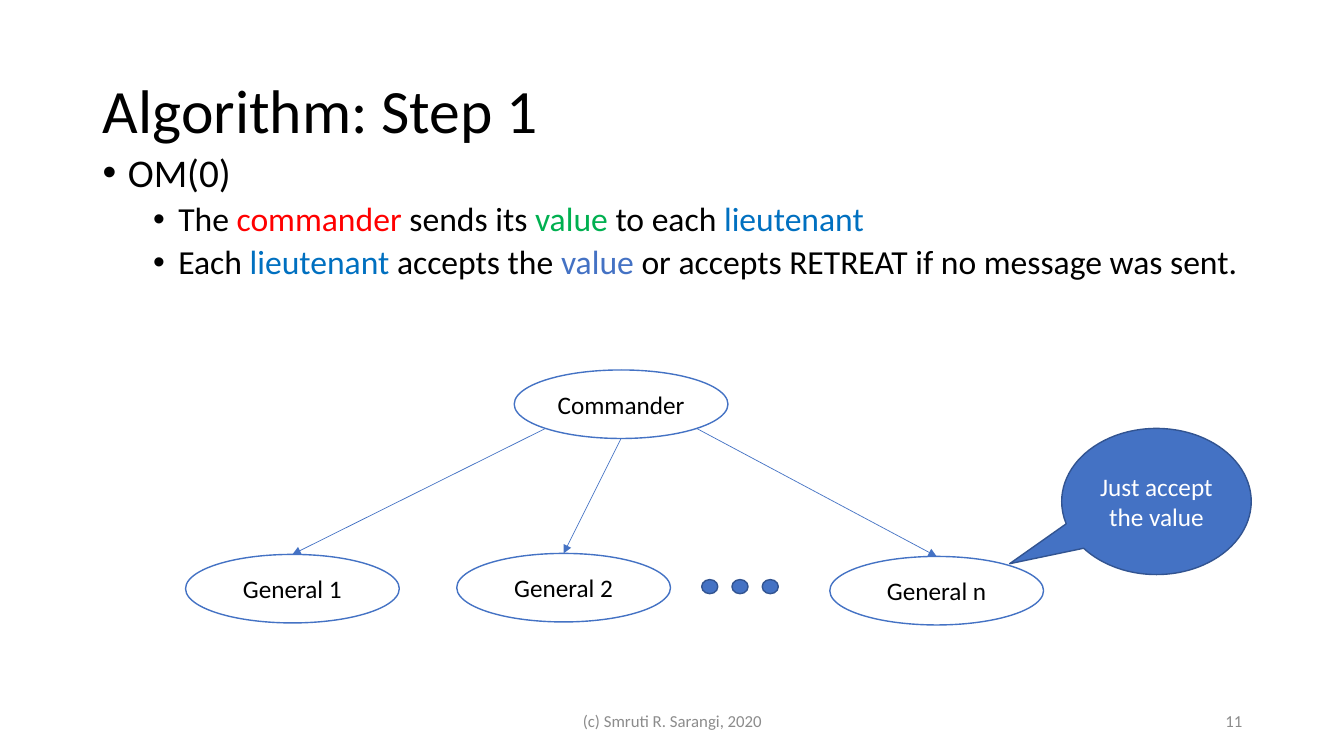
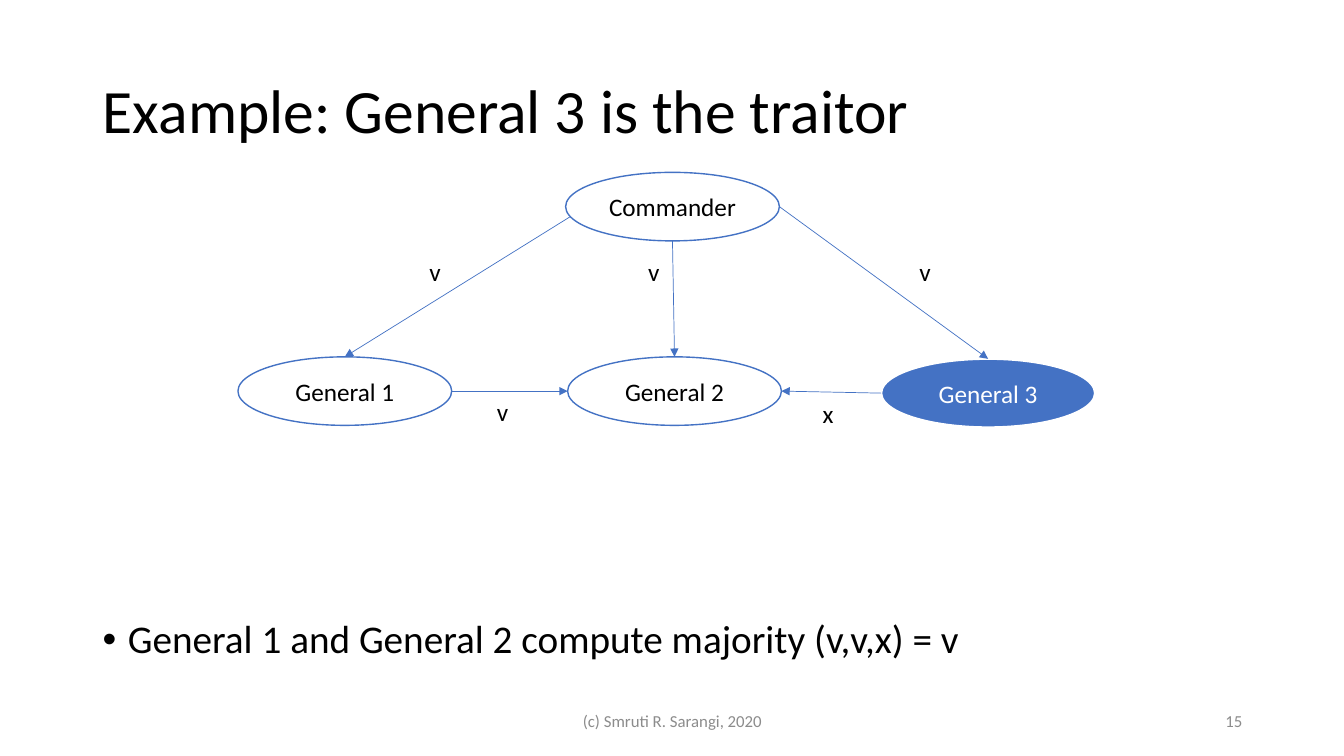
from math import cos, radians, sin

from lxml.etree import SubElement
from pptx import Presentation
from pptx.dml.color import RGBColor
from pptx.enum.shapes import MSO_CONNECTOR as Connector, MSO_SHAPE as Shape
from pptx.enum.text import MSO_ANCHOR as Anchor, MSO_AUTO_SIZE as AutoSize, PP_ALIGN as Align
from pptx.oxml.ns import qn
from pptx.util import Inches, Pt

FONT = "Calibri"
BLACK = RGBColor(0x00, 0x00, 0x00)
WHITE = RGBColor(0xFF, 0xFF, 0xFF)
GRAY = RGBColor(0x8C, 0x8C, 0x8C)
BLUE = RGBColor(0x44, 0x72, 0xC4)
NAVY = RGBColor(0x32, 0x54, 0x91)
RED = RGBColor(0xFF, 0x00, 0x00)
GREEN = RGBColor(0x00, 0xB0, 0x50)
SKY = RGBColor(0x00, 0x70, 0xC0)

FOOTER = "(c) Smruti R. Sarangi, 2020"
MARGIN, CONTENT_WIDTH = 0.92, 11.5
OVAL_WIDTH, OVAL_HEIGHT = 2.12, 0.68
RIGHT, BOTTOM_RIGHT, BOTTOM, BOTTOM_LEFT, LEFT, TOP = 0, 45, 90, 135, 180, 270

TITLE_PARA = {"alignment": Align.LEFT, "line_spacing": 0.9}
BULLETS = [
    {"size": 28, "indent": 0.25, "para": {"level": 0, "line_spacing": 0.9, "space_before": Pt(10)}},
    {"size": 24, "indent": 0.75, "para": {"level": 1, "line_spacing": 0.9, "space_before": Pt(5)}},
]


def apply(target, values):
    for name, value in values.items():
        setattr(target, name, value)


def inches(*lengths):
    return [Inches(length) for length in lengths]


def add_span(para, text, size, color=BLACK):
    span = para.add_run()
    span.text = text
    apply(span.font, {"name": FONT, "size": Pt(size)})
    span.font.color.rgb = color


def add_label(page, text, bounds, size=18, color=BLACK, wrap=False, align=Align.LEFT, anchor=Anchor.TOP):
    box = page.shapes.add_textbox(*inches(*bounds))
    apply(box.text_frame, {"word_wrap": wrap, "vertical_anchor": anchor})
    para = box.text_frame.paragraphs[0]
    para.alignment = align
    add_span(para, text, size, color)


def add_page(deck, title, number):
    page = deck.slides.add_slide(deck.slide_layouts[5])
    heading = page.shapes.title
    left, top, width, height = inches(MARGIN, 0.4, CONTENT_WIDTH, 1.45)
    apply(heading, {"left": left, "top": top, "width": width, "height": height})
    apply(heading.text_frame, {"auto_size": AutoSize.NONE, "word_wrap": True,
                               "vertical_anchor": Anchor.MIDDLE})
    para = heading.text_frame.paragraphs[0]
    apply(para, TITLE_PARA)
    add_span(para, title, 44)
    for text, bounds, align in (
        (FOOTER, (4.42, 6.95, 4.5, 0.4), Align.CENTER),
        (str(number), (9.42, 6.95, 3, 0.4), Align.RIGHT),
    ):
        add_label(page, text, bounds, 12, GRAY, True, align, Anchor.MIDDLE)
    return page


def add_bullets(page, top, height, items):
    box = page.shapes.add_textbox(*inches(MARGIN, top, CONTENT_WIDTH, height))
    frame = box.text_frame
    frame.word_wrap = True
    for index, (level, spans) in enumerate(items):
        para = frame.add_paragraph() if index else frame.paragraphs[0]
        style = BULLETS[level]
        apply(para, style["para"])
        properties = para._p.get_or_add_pPr()
        properties.set("marL", str(Inches(style["indent"])))
        properties.set("indent", str(Inches(-0.25)))
        SubElement(properties, qn("a:buFont")).set("typeface", "Arial")
        SubElement(properties, qn("a:buChar")).set("char", "•")
        for text, color in spans:
            add_span(para, text, style["size"], color)


def add_figure(page, kind, bounds, fill, line, weight=1, text="", color=BLACK):
    figure = page.shapes.add_shape(kind, *inches(*bounds))
    figure.shadow.inherit = False
    figure.fill.solid()
    figure.fill.fore_color.rgb = fill
    figure.line.color.rgb = line
    figure.line.width = Pt(weight)
    if text:
        apply(figure.text_frame, {"word_wrap": True, "vertical_anchor": Anchor.MIDDLE})
        para = figure.text_frame.paragraphs[0]
        para.alignment = Align.CENTER
        add_span(para, text, 18, color)
    return figure


def add_general(page, name, left, top, fill=WHITE, line=BLUE, weight=1, color=BLACK):
    bounds = (left, top, OVAL_WIDTH, OVAL_HEIGHT)
    return add_figure(page, Shape.OVAL, bounds, fill, line, weight, name, color)


def rim_point(oval, degrees):
    angle = radians(degrees)
    return (round(oval.left + oval.width / 2 * (1 + cos(angle))),
            round(oval.top + oval.height / 2 * (1 + sin(angle))))


def add_arrow(page, sender, sender_angle, receiver, receiver_angle):
    arrow = page.shapes.add_connector(Connector.STRAIGHT, *rim_point(sender, sender_angle),
                                      *rim_point(receiver, receiver_angle))
    arrow.line.color.rgb = BLUE
    arrow.line.width = Pt(0.5)
    SubElement(arrow.line._get_or_add_ln(), qn("a:tailEnd")).set("type", "triangle")
    SubElement(arrow._element.spPr, qn("a:effectLst"))


def build_step_page(deck):
    page = add_page(deck, "Algorithm: Step 1", 11)
    add_bullets(page, 1.47, 1.45, [
        (0, [("OM(0)", BLACK)]),
        (1, [("The ", BLACK), ("commander", RED), (" sends its ", BLACK), ("value", GREEN),
             (" to each ", BLACK), ("lieutenant", SKY)]),
        (1, [("Each ", BLACK), ("lieutenant", SKY), (" accepts the ", BLACK), ("value", BLUE),
             (" or accepts RETREAT if no message was sent.", BLACK)]),
    ])
    commander = add_general(page, "Commander", 5.1, 3.67)
    for name, left, top, angle in (
        ("General 1", 1.84, 5.5, BOTTOM_LEFT),
        ("General 2", 4.53, 5.49, BOTTOM),
        ("General n", 8.23, 5.52, BOTTOM_RIGHT),
    ):
        general = add_general(page, name, left, top)
        add_arrow(page, commander, angle, general, TOP)
    for index in range(3):
        add_figure(page, Shape.OVAL, (6.96 + 0.3 * index, 5.75, 0.16, 0.14), BLUE, NAVY)
    callout = add_figure(page, Shape.OVAL_CALLOUT, (10.53, 4.25, 1.88, 1.45), BLUE, NAVY,
                         text="Just accept the value", color=WHITE)
    callout.adjustments[0] = -0.775
    callout.adjustments[1] = 0.426


def build_traitor_page(deck):
    page = add_page(deck, "Example: General 3 is the traitor", 15)
    add_bullets(page, 6.1, 0.66, [
        (0, [("General 1 and General 2 compute majority (v,v,x) = v", BLACK)]),
    ])
    commander = add_general(page, "Commander", 5.61, 1.71)
    first = add_general(page, "General 1", 2.36, 3.54)
    second = add_general(page, "General 2", 5.63, 3.54)
    traitor = add_general(page, "General 3", 8.74, 3.56, BLUE, WHITE, 1.5, WHITE)
    for sender, sender_angle, receiver, receiver_angle, value, left, top in (
        (commander, 163, first, TOP, "v", 4.16, 2.49),
        (commander, BOTTOM, second, TOP, "v", 6.33, 2.49),
        (commander, RIGHT, traitor, TOP, "v", 9.02, 2.49),
        (first, RIGHT, second, LEFT, "v", 4.83, 3.88),
        (traitor, LEFT, second, RIGHT, "x", 8.06, 3.9),
    ):
        add_arrow(page, sender, sender_angle, receiver, receiver_angle)
        add_label(page, value, (left, top, 0.32, 0.4))


def main():
    deck = Presentation()
    apply(deck, {"slide_width": Inches(13.33), "slide_height": Inches(7.5)})
    build_step_page(deck)
    build_traitor_page(deck)
    deck.save("out.pptx")


if __name__ == "__main__":
    main()
